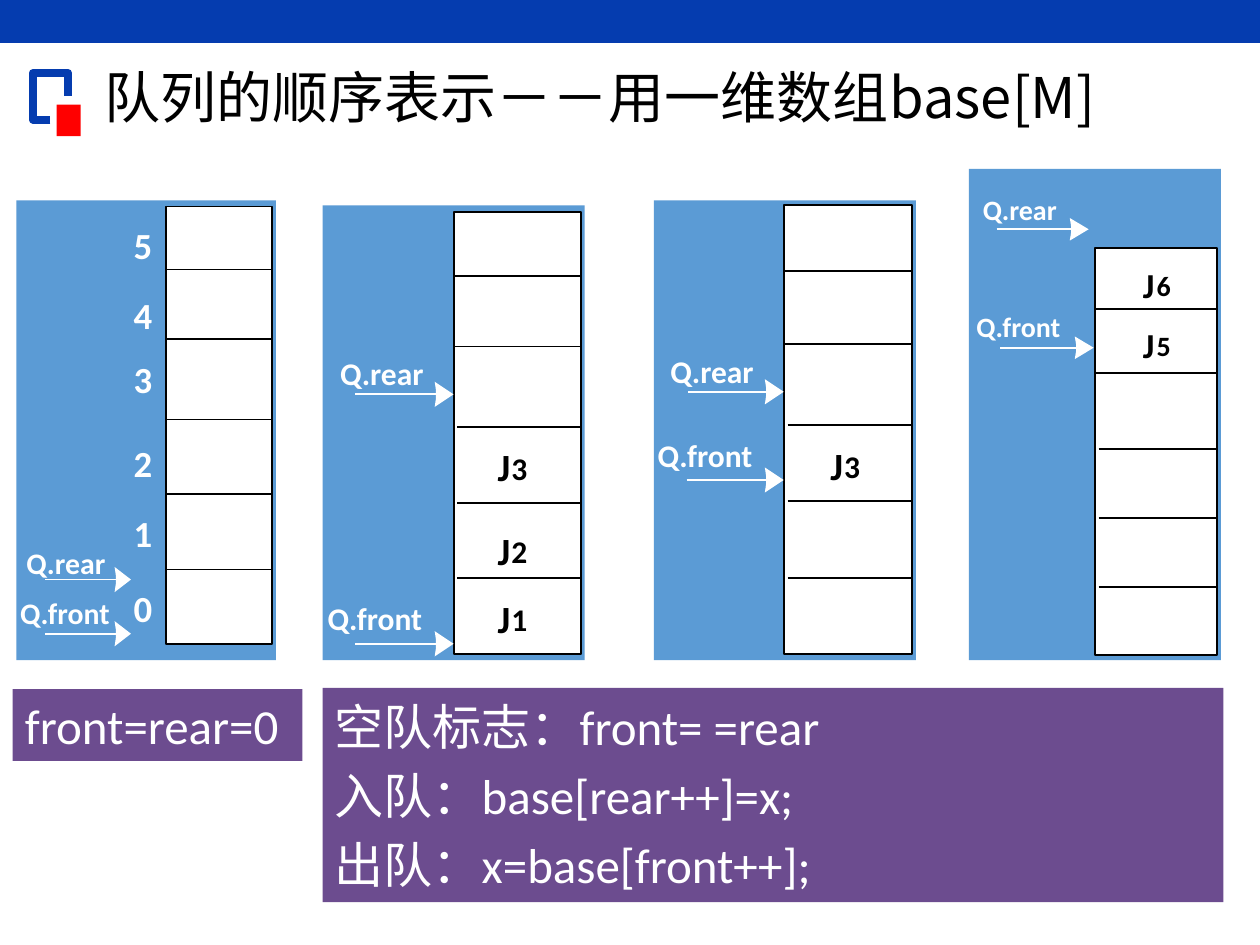
from dataclasses import dataclass

from lxml import etree
from pptx import Presentation
from pptx.dml.color import RGBColor
from pptx.enum.shapes import MSO_CONNECTOR, MSO_SHAPE
from pptx.enum.text import MSO_ANCHOR, PP_ALIGN
from pptx.oxml.ns import qn
from pptx.util import Inches, Pt

RECTANGLE = MSO_SHAPE.RECTANGLE
STRAIGHT = MSO_CONNECTOR.STRAIGHT
LEFT = PP_ALIGN.LEFT
TOP, MIDDLE = MSO_ANCHOR.TOP, MSO_ANCHOR.MIDDLE


@dataclass(frozen=True)
class Theme:
    blue: RGBColor = RGBColor(0x05, 0x3C, 0xAF)
    red: RGBColor = RGBColor(0xFF, 0x00, 0x00)
    panel: RGBColor = RGBColor(0x5B, 0x9B, 0xD5)
    purple: RGBColor = RGBColor(0x6C, 0x4C, 0x8F)
    white: RGBColor = RGBColor(0xFF, 0xFF, 0xFF)
    black: RGBColor = RGBColor(0x00, 0x00, 0x00)
    title_font: str = "Noto Sans CJK SC"
    body_font: str = "Calibri"
    title_size: float = 32
    note_size: float = 28
    index_size: float = 21


@dataclass
class Queue:
    panel: tuple        # left, top, width, height
    array: tuple
    dividers: list      # heights, from top to bottom
    pointers: list      # name, label left, label top, arrow start, tip, height
    pointer_size: float
    head: tuple         # length and half height of an arrowhead
    line_width: float = 1.13
    items: tuple = ()   # number and top of each stored element
    item_left: float = 0
    item_size: float = 22
    inset: float = 0.03  # left gap of the lower dividers
    indexes: tuple = ()  # label tops, counted from 0


class QueueSlide:
    def __init__(self, slide, theme):
        self.slide = slide
        self.theme = theme
        self.shapes = slide.shapes

    def style_text(self, paragraph, size, color, font=None, bold=False):
        paragraph.alignment = LEFT
        paragraph.font.name = font or self.theme.body_font
        paragraph.font.size = Pt(size)
        paragraph.font.bold = bold
        paragraph.font.color.rgb = color

    def title(self, text, box):
        title = self.slide.shapes.title
        title.left, title.top, title.width, title.height = map(Inches, box)
        frame = title.text_frame
        frame.text = text
        frame.vertical_anchor = MIDDLE
        self.style_text(frame.paragraphs[0], self.theme.title_size,
                        self.theme.black, self.theme.title_font)

    def rectangle(self, box, fill, line_width=None):
        shape = self.shapes.add_shape(RECTANGLE, *map(Inches, box))
        shape.shadow.inherit = False
        shape.fill.solid()
        shape.fill.fore_color.rgb = fill
        if line_width:
            shape.line.color.rgb = self.theme.black
            shape.line.width = Pt(line_width)
        else:
            shape.line.fill.background()
        return shape

    def line(self, start, end, color, width):
        connector = self.shapes.add_connector(
            STRAIGHT, *map(Inches, (*start, *end)))
        connector.line.color.rgb = color
        connector.line.width = Pt(width)
        etree.SubElement(connector._element.spPr, qn("a:effectLst"))

    def outline(self, points, color, width=None):
        """Draw a filled outline, or an open stroke if a width is given."""
        first, *rest = [tuple(map(Inches, point)) for point in points]
        builder = self.shapes.build_freeform(*first, scale=1.0)
        builder.add_line_segments(rest, close=width is None)
        shape = builder.convert_to_shape()
        shape.shadow.inherit = False
        if width is None:
            shape.fill.solid()
            shape.fill.fore_color.rgb = color
            shape.line.fill.background()
        else:
            shape.fill.background()
            shape.line.color.rgb = color
            shape.line.width = Pt(width)

    def label(self, text, left, top, width, size, color):
        box = self.shapes.add_textbox(
            *map(Inches, (left, top, width, size * 0.017)))
        frame = box.text_frame
        frame.margin_left = frame.margin_right = 0
        frame.margin_top = frame.margin_bottom = 0
        frame.word_wrap = False
        frame.text = text
        self.style_text(frame.paragraphs[0], size, color, bold=True)

    def arrow(self, start, tip, y, head, width):
        length, half = head
        back, notch = tip - length, tip - length + 0.01
        white = self.theme.white
        self.line((start, y), (tip - 0.11, y), white, width)
        self.outline([(tip, y), (back, y + half), (notch, y + half / 3),
                      (notch, y - half / 3), (back, y - half)], white)

    def note(self, lines, box, anchor):
        shape = self.rectangle(box, self.theme.purple)
        frame = shape.text_frame
        frame.word_wrap = True
        frame.vertical_anchor = anchor
        frame.text = "\n".join(lines)
        for number, paragraph in enumerate(frame.paragraphs):
            if number:
                paragraph.space_before = Pt(self.theme.note_size * 0.2)
            self.style_text(paragraph, self.theme.note_size, self.theme.white)

    def queue(self, queue):
        theme = self.theme
        self.shapes = self.slide.shapes.add_group_shape().shapes
        self.rectangle(queue.panel, theme.panel)
        self.rectangle(queue.array, theme.white, queue.line_width)
        left, right = queue.array[0], queue.array[0] + queue.array[2]
        for number, y in enumerate(queue.dividers):
            start = left + (queue.inset if number > 1 else 0)
            self.line((start, y), (right, y), theme.black, queue.line_width)
        # Pointers and cell numbers
        for name, label_left, label_top, start, tip, y in queue.pointers:
            self.arrow(start, tip, y, queue.head, queue.line_width)
            ratio = 0.0445 if name == "Q.front" else 0.04
            self.label(name, label_left, label_top, queue.pointer_size * ratio,
                       queue.pointer_size, theme.white)
        for number, top in enumerate(queue.indexes):
            self.label(str(number), 1.06, top, 0.15, theme.index_size,
                       theme.white)
        # Stored elements, each with a smaller number
        for number, top in queue.items:
            self.label("J", queue.item_left, top, 0.15, queue.item_size,
                       theme.black)
            self.label(number, queue.item_left + 0.11, top + 0.04, 0.13,
                       queue.item_size - 4, theme.black)
        self.shapes = self.slide.shapes


QUEUES = [
    Queue((0.13, 1.59, 2.06, 3.65), (1.32, 1.64, 0.84, 3.47),
          [2.14, 2.69, 3.33, 3.92, 4.52],
          [("Q.front", 0.16, 4.72, 0.36, 1.04, 5.03),
           ("Q.rear", 0.21, 4.32, 0.36, 1.04, 4.6)],
          17, (0.13, 0.1), line_width=1, inset=0,
          indexes=(4.65, 4.05, 3.5, 2.83, 2.32, 1.77)),
    Queue((2.56, 1.63, 2.08, 3.61), (3.6, 1.68, 1.01, 3.51),
          [2.19, 2.75, 3.39, 3.99, 4.59],
          [("Q.front", 2.6, 4.75, 2.82, 3.6, 5.11),
           ("Q.rear", 2.7, 2.81, 2.82, 3.6, 3.13)],
          18, (0.15, 0.1), items=(("1", 4.72), ("2", 4.18), ("3", 3.52)),
          item_left=3.95),
    Queue((5.19, 1.59, 2.08, 3.65), (6.22, 1.63, 1.02, 3.56),
          [2.15, 2.73, 3.37, 3.98, 4.59],
          [("Q.front", 5.22, 3.46, 5.45, 6.22, 3.81),
           ("Q.rear", 5.32, 2.79, 5.46, 6.22, 3.11)],
          18, (0.15, 0.1), items=(("3", 3.51),), item_left=6.59),
    Queue((7.69, 1.34, 2, 3.9), (8.69, 1.97, 0.97, 3.23),
          [2.45, 2.96, 3.56, 4.11, 4.66],
          [("Q.front", 7.75, 2.46, 7.94, 8.68, 2.76),
           ("Q.rear", 7.8, 1.53, 7.91, 8.64, 1.82)],
          16, (0.15, 0.09), items=(("5", 2.57), ("6", 2.09)),
          item_left=9.07, item_size=20),
]


def main():
    presentation = Presentation()
    presentation.slide_width, presentation.slide_height = Inches(10), Inches(7.5)
    theme = Theme()
    page = QueueSlide(
        presentation.slides.add_slide(presentation.slide_layouts[5]), theme)

    # Header band, corner ornament and title
    page.rectangle((0, 0, 10, 0.34), theme.blue)
    page.outline([(0.4, 0.95), (0.26, 0.95), (0.26, 0.58), (0.54, 0.58),
                  (0.54, 0.76)], theme.blue, 4.5)
    page.rectangle((0.45, 0.83, 0.19, 0.25), theme.red)
    page.title("队列的顺序表示－－用一维数组base[M]", (0.73, 0.48, 9.43, 0.57))

    # Four states of the queue
    for queue in QUEUES:
        page.queue(queue)

    # Rules below the queues
    page.note(["front=rear=0"], (0.1, 5.47, 2.3, 0.57), TOP)
    page.note(["空队标志：front= =rear", "入队：base[rear++]=x;",
               "出队：x=base[front++];"], (2.56, 5.46, 7.15, 1.7), MIDDLE)
    presentation.save("out.pptx")


if __name__ == "__main__":
    main()
